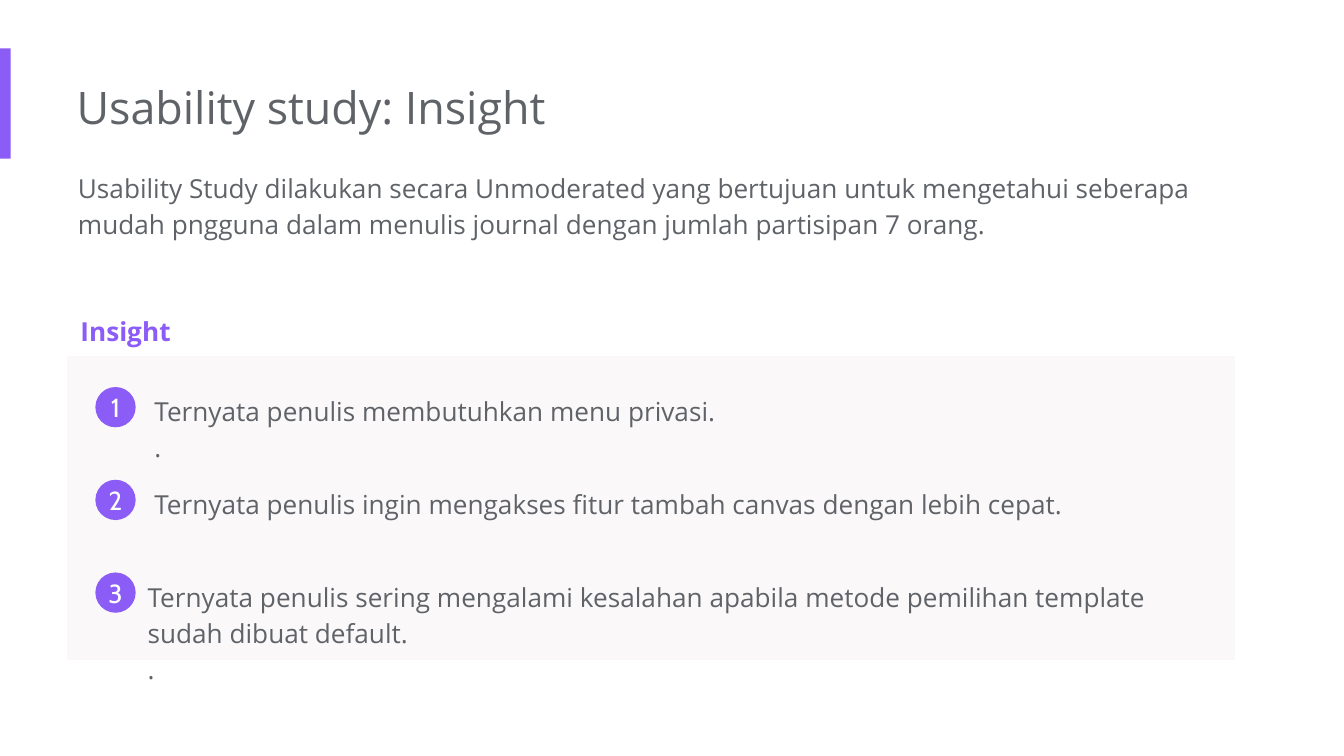
from dataclasses import dataclass

from pptx import Presentation
from pptx.dml.color import RGBColor
from pptx.enum.shapes import MSO_SHAPE
from pptx.enum.text import MSO_ANCHOR, PP_ALIGN
from pptx.util import Inches, Pt


@dataclass(frozen=True)
class Theme:
    accent: str = "8B5CF6"
    text: str = "5F6368"
    panel: str = "FAF8F9"
    white: str = "FFFFFF"
    font: str = "Open Sans"
    badge_font: str = "Cabin"
    title_size: int = 24
    body_size: int = 14
    line_spacing: float = 1.15


class SlideBuilder:
    def __init__(self, s, theme):
        self.s = s
        self.theme = theme

    def add_run(self, p, text, size, color, font=None, bold=False):
        r = p.add_run()
        r.text = text
        r.font.name = font or self.theme.font
        r.font.size = Pt(size)
        r.font.bold = bold
        r.font.color.rgb = RGBColor.from_string(color)

    def set_insets(self, tf, left, others):
        tf.margin_left = Inches(left)
        tf.margin_top = tf.margin_right = tf.margin_bottom = Inches(others)

    def text(self, box, lines, size=None, color=None, bold=False,
             inset_left=0.1, spacing=None):
        """Add a text box with one paragraph for each line."""
        tf = self.s.shapes.add_textbox(*map(Inches, box)).text_frame
        tf.word_wrap = True
        self.set_insets(tf, inset_left, 0.1)
        for i, line in enumerate(lines):
            p = tf.add_paragraph() if i else tf.paragraphs[0]
            p.line_spacing = spacing or self.theme.line_spacing
            self.add_run(p, line, size or self.theme.body_size,
                         color or self.theme.text, bold=bold)

    def shape(self, box, fill, kind=MSO_SHAPE.RECTANGLE):
        sp = self.s.shapes.add_shape(kind, *map(Inches, box))
        sp.shadow.inherit = False
        sp.fill.solid()
        sp.fill.fore_color.rgb = RGBColor.from_string(fill)
        sp.line.fill.background()
        return sp

    def badge(self, left, top, number):
        """Add a numbered circle."""
        sp = self.shape((left, top, 0.3, 0.3), self.theme.accent, MSO_SHAPE.OVAL)
        tf = sp.text_frame
        tf.vertical_anchor = MSO_ANCHOR.MIDDLE
        self.set_insets(tf, 0, 0)
        p = tf.paragraphs[0]
        p.alignment = PP_ALIGN.CENTER
        self.add_run(p, str(number), self.theme.body_size, self.theme.white,
                     self.theme.badge_font)


INTRO = ("Usability Study dilakukan secara Unmoderated yang bertujuan untuk "
         "mengetahui seberapa mudah pngguna dalam menulis journal dengan "
         "jumlah partisipan 7 orang.")

# left, width, height, lines
INSIGHTS = [
    (1.05, 7.91, 0.74, ["Ternyata penulis membutuhkan menu privasi.", "."]),
    (1.05, 8.04, 0.47, ["Ternyata penulis ingin mengakses fitur tambah canvas "
                        "dengan lebih cepat."]),
    (1, 7.96, 1.01, ["Ternyata penulis sering mengalami kesalahan apabila "
                     "metode pemilihan template sudah dibuat default.", "."]),
]
FIRST_ROW, ROW_STEP = 2.81, 0.69


def main():
    prs = Presentation()
    prs.slide_width = Inches(10)
    prs.slide_height = prs.slide_width * 9 // 16
    theme = Theme()
    b = SlideBuilder(prs.slides.add_slide(prs.slide_layouts[6]), theme)

    b.shape((0, 0.36, 0.08, 0.82), theme.accent)
    b.text((0.57, 0.49, 6.73, 0.61), ["Usability study: Insight"],
           size=theme.title_size, inset_left=0, spacing=1.0)
    b.text((0.58, 1.15, 8.61, 1.01), [INTRO], inset_left=0)
    b.text((0.5, 2.21, 3.65, 0.44), ["Insight"], color=theme.accent, bold=True)

    b.shape((0.5, 2.65, 8.69, 2.26), theme.panel)
    for i, (left, width, height, lines) in enumerate(INSIGHTS):
        top = FIRST_ROW + i * ROW_STEP
        b.text((left, top, width, height), lines)
        b.badge(0.71, top + 0.07, i + 1)

    prs.save("out.pptx")


if __name__ == "__main__":
    main()
